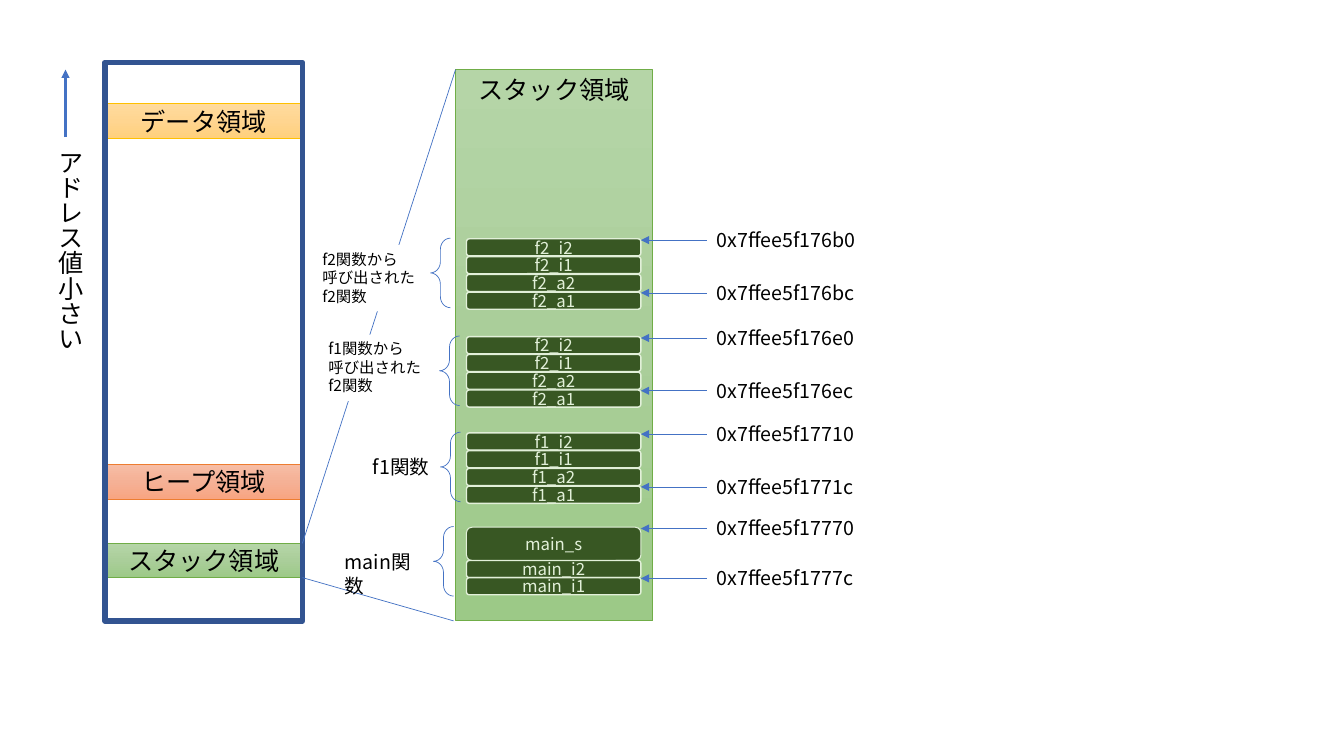
from copy import deepcopy
from dataclasses import dataclass

from lxml import etree
from pptx import Presentation
from pptx import util as u
from pptx.dml.color import RGBColor
from pptx.enum import shapes, text
from pptx.oxml.ns import qn

FONT = "Noto Sans CJK JP"
BLACK, WHITE, BLUE, DARK, PALE = "000000", "FFFFFF", "4472C4", "385723", "E2F0D9"
GREENS = ("B5D5A7", "AACE9A", "9CC987")
AREA_LEFT, STACK_LEFT, AREA_WIDTH = 75, 325.4, 141
CELL_LEFT, CELL_WIDTH, CELL_HEIGHT = 333.2, 124.6, 12.24
ADDRESS_LEFT = 504.7


@dataclass
class Area:
    """A region of memory with its gradient."""
    name: str
    left: float
    top: float
    height: float
    stops: tuple[str, str, str]
    edge: str


@dataclass
class Frame:
    """A call's stack frame with its variables, addresses and label."""
    top: float
    variables: tuple[str, ...]
    addresses: tuple[str, str]
    brace_left: float
    label: tuple[str, ...]
    label_box: tuple[float, float, float, float]
    label_size: float = 14
    gap: float = 0.46


F2_VARIABLES = ("f2_i2", "f2_i1", "f2_a2", "f2_a1")
AREAS = [
    Area("データ領域", AREA_LEFT, 74.2, 24.5, ("FFDB9E", "FFD590", "FFD07C"), "FFC000"),
    Area("ヒープ領域", AREA_LEFT, 331.9, 24.5, ("F7BDA5", "F5B196", "F8A582"), "ED7D31"),
    Area("スタック領域", AREA_LEFT, 388.1, 24.5, GREENS, "70AD47"),
]
STACK = Area("スタック領域", STACK_LEFT, 49.7, 393.8, GREENS, "70AD47")
FRAMES = [
    Frame(376.6, ("main_s", "main_i2", "main_i1"), ("0x7ffee5f17770", "0x7ffee5f1777c"),
          309.6, ("main関数",), (239, 389.5, 74.9, 24.5), gap=0),
    Frame(309.2, ("f1_i2", "f1_i1", "f1_a2", "f1_a1"), ("0x7ffee5f17710", "0x7ffee5f1771c"),
          314.6, ("f1関数",), (259.2, 321.1, 55.4, 24.5)),
    Frame(240.5, F2_VARIABLES, ("0x7ffee5f176e0", "0x7ffee5f176ec"), 313.9,
          ("f1関数から", "呼び出された", "f2関数"), (227.5, 239, 84.2, 47.5), 11),
    Frame(170.6, F2_VARIABLES, ("0x7ffee5f176b0", "0x7ffee5f176bc"), 307.4,
          ("f2関数から", "呼び出された", "f2関数"), (223.2, 175, 84.2, 47.5), 11),
]


def rgb(value: str) -> RGBColor:
    """Turn a hex string into a colour."""
    return RGBColor.from_string(value)


def write(shape, lines, size, colour=BLACK, align=text.PP_ALIGN.LEFT,
          anchor=text.MSO_ANCHOR.TOP, wrap=True):
    """Fill a shape with evenly formatted paragraphs."""
    frame = shape.text_frame
    frame.text = "\n".join(lines)
    frame.word_wrap = wrap
    frame.vertical_anchor = anchor
    for paragraph in frame.paragraphs:
        paragraph.alignment = align
        paragraph.font.size = u.Pt(size)
        paragraph.font.name = FONT
        paragraph.font.color.rgb = rgb(colour)
    for props in shape.element.iter(qn("a:defRPr")):
        etree.SubElement(props, qn("a:ea"), typeface=FONT)


def add_box(slide, kind, box, fill=None, edge=None, weight=0.5):
    """Add a preset shape with an optional fill and outline."""
    shape = slide.shapes.add_shape(kind, *map(u.Pt, box))
    shape.shadow.inherit = False
    if fill:
        shape.fill.solid()
        shape.fill.fore_color.rgb = rgb(fill)
    else:
        shape.fill.background()
    if edge:
        shape.line.color.rgb = rgb(edge)
        shape.line.width = u.Pt(weight)
    else:
        shape.line.fill.background()
    return shape


def add_area(slide, area: Area, anchor):
    """Add a memory region shaded from top to bottom."""
    shape = add_box(slide, shapes.MSO_SHAPE.RECTANGLE,
                    (area.left, area.top, AREA_WIDTH, area.height), edge=area.edge)
    shape.fill.gradient()
    shape.fill.gradient_angle = 270
    stop_list = next(shape.element.iter(qn("a:gsLst")))
    stop_list.insert(1, deepcopy(stop_list[0]))
    for stop, colour, position in zip(shape.fill.gradient_stops, area.stops, (0, 0.5, 1)):
        stop.color.rgb = rgb(colour)
        stop.position = position
    write(shape, [area.name], 18, align=text.PP_ALIGN.CENTER, anchor=anchor)


def add_line(slide, start, end, weight=0.5, arrow=None):
    """Add a straight line, with an arrowhead at headEnd or tailEnd."""
    line = slide.shapes.add_connector(
        shapes.MSO_CONNECTOR.STRAIGHT, *map(u.Pt, (*start, *end)))
    line.line.color.rgb = rgb(BLUE)
    line.line.width = u.Pt(weight)
    if arrow:
        etree.SubElement(line.element.spPr.find(qn("a:ln")), qn(arrow), type="triangle")
    etree.SubElement(line.element.spPr, qn("a:effectLst"))


def add_text(slide, box, lines, size, wrap=False):
    """Add a plain text box."""
    label = slide.shapes.add_textbox(*map(u.Pt, box))
    write(label, lines, size, wrap=wrap)
    return label


def add_cells(slide, frame: Frame) -> float:
    """Stack the variables of a frame and return the top of the last one."""
    top = last = frame.top
    for name in frame.variables:
        height = 23.8 if name == "main_s" else CELL_HEIGHT
        cell = add_box(slide, shapes.MSO_SHAPE.ROUNDED_RECTANGLE,
                       (CELL_LEFT, top, CELL_WIDTH, height), DARK, PALE,
                       0.75 if name == "main_s" else 1)
        write(cell, [name], 12, PALE, text.PP_ALIGN.CENTER, text.MSO_ANCHOR.MIDDLE)
        last = top
        top += height + frame.gap
    return last


def add_frame(slide, frame: Frame):
    """Draw a stack frame with its addresses, brace and label."""
    last = add_cells(slide, frame)
    for address, y in zip(frame.addresses, (frame.top + 0.9, last + 0.5)):
        add_line(slide, (CELL_LEFT + CELL_WIDTH, y), (ADDRESS_LEFT, y), arrow="a:headEnd")
        add_text(slide, (ADDRESS_LEFT, y - 12.2, 114.5, 24.5), [address], 14)
    brace = add_box(slide, shapes.MSO_SHAPE.LEFT_BRACE,
                    (frame.brace_left, frame.top - 0.5, 14.4, 49.7), edge=BLUE)
    brace.adjustments[0] = 0.549
    if len(frame.label) > 1:
        label = add_box(slide, shapes.MSO_SHAPE.RECTANGLE, frame.label_box, WHITE)
        write(label, frame.label, frame.label_size)
    else:
        add_text(slide, frame.label_box, frame.label, frame.label_size, wrap=True)


def main():
    """Build the memory layout slide."""
    deck = Presentation()
    deck.slide_width, deck.slide_height = u.Pt(960), u.Pt(540)
    slide = deck.slides.add_slide(deck.slide_layouts[6])
    for area in AREAS:
        add_area(slide, area, text.MSO_ANCHOR.MIDDLE)
    add_box(slide, shapes.MSO_SHAPE.RECTANGLE, (AREA_LEFT, 44.6, AREA_WIDTH, 399),
            edge="325491", weight=4)
    add_area(slide, STACK, text.MSO_ANCHOR.TOP)
    area_right = AREA_LEFT + AREA_WIDTH
    add_line(slide, (STACK_LEFT, STACK.top), (area_right, 388.1))
    add_line(slide, (324, 443.5), (area_right, 412.6))
    add_line(slide, (46.8, 98), (46.8, 49.7), 1.5, "a:tailEnd")
    direction = add_text(slide, (28.8, 100, 36, 152.6), ["アドレス値小さい"], 18)
    direction.text_frame.auto_size = text.MSO_AUTO_SIZE.SHAPE_TO_FIT_TEXT
    next(direction.element.iter(qn("a:bodyPr"))).set("vert", "eaVert")
    for frame in FRAMES:
        add_frame(slide, frame)
    deck.save("out.pptx")


main()
